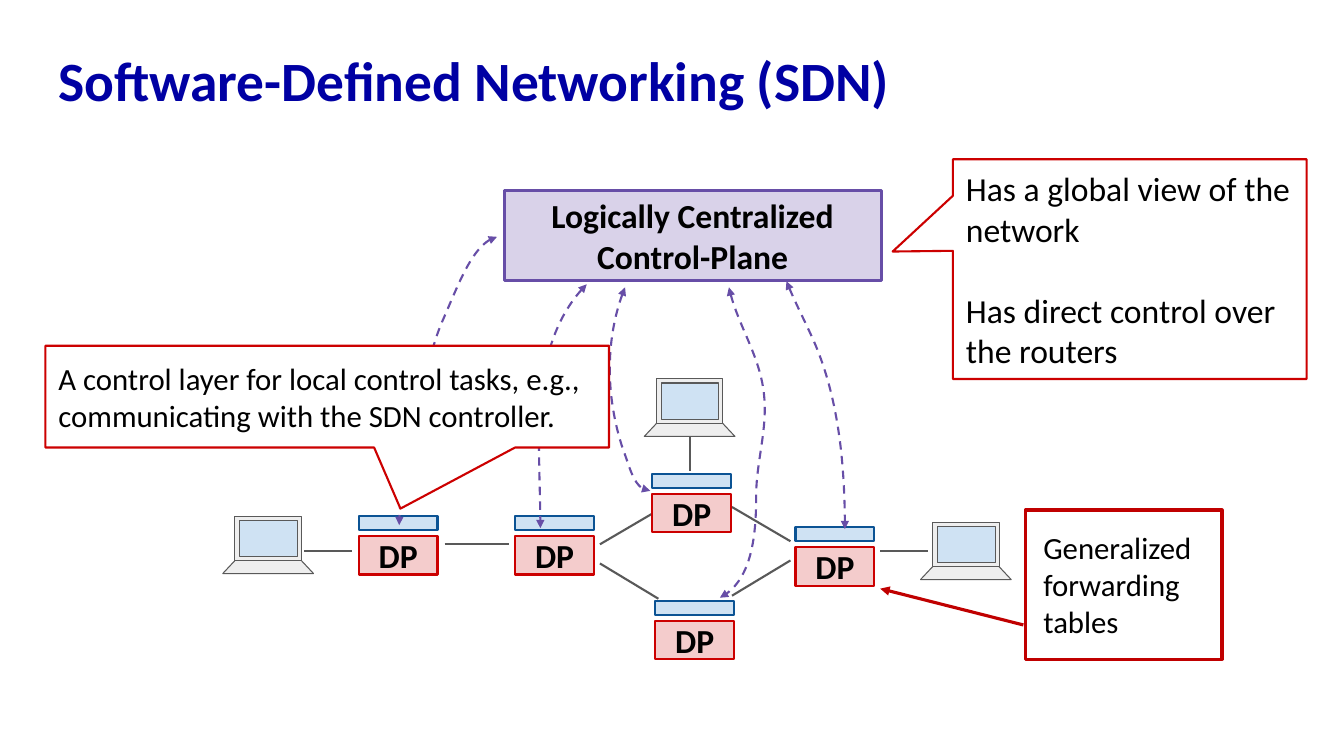
from dataclasses import dataclass
from typing import Any, Optional

from lxml import etree
from pptx import Presentation
from pptx import util as u
from pptx.dml.color import RGBColor
from pptx.enum import dml, shapes, text
from pptx.oxml.ns import qn

NAVY = RGBColor(0x00, 0x00, 0xA3)
BLACK = RGBColor(0x00, 0x00, 0x00)
WHITE = RGBColor(0xFF, 0xFF, 0xFF)
GRAY = RGBColor(0x59, 0x59, 0x59)
LIGHT_GRAY = RGBColor(0xEE, 0xEE, 0xEE)
LIGHT_BLUE = RGBColor(0xCF, 0xE2, 0xF3)
BLUE = RGBColor(0x0B, 0x53, 0x94)
PINK = RGBColor(0xF4, 0xCC, 0xCC)
RED = RGBColor(0xCC, 0x00, 0x00)
DARK_RED = RGBColor(0xC0, 0x00, 0x00)
LAVENDER = RGBColor(0xD9, 0xD2, 0xE9)
PURPLE = RGBColor(0x67, 0x4E, 0xA7)

KIND = shapes.MSO_SHAPE
Point = tuple[float, float]


@dataclass
class Box:
    left: float
    top: float
    width: float
    height: float

    def lengths(self) -> list[u.Length]:
        return [u.Inches(v) for v in (self.left, self.top, self.width, self.height)]


@dataclass
class Link:
    start: Point
    end: Point


@dataclass
class ControlPath:
    start: Point
    curves: list[tuple[Point, Point, Point]]  # two control points, then the end


def write(shape: Any, *paragraphs: str, size: float = 24, color: RGBColor = BLACK,
          bold: bool = False, align: text.PP_ALIGN = text.PP_ALIGN.LEFT,
          anchor: text.MSO_ANCHOR = text.MSO_ANCHOR.MIDDLE, inset: Optional[float] = 0.13,
          gap: float = 0, line_spacing: Optional[float] = None) -> None:
    frame = shape.text_frame
    frame.word_wrap = True
    frame.vertical_anchor = anchor
    if inset is not None:
        frame.margin_left = frame.margin_right = u.Inches(inset)
        frame.margin_top = frame.margin_bottom = u.Inches(inset)
    for i, words in enumerate(paragraphs):
        para = frame.add_paragraph() if i else frame.paragraphs[0]
        para.alignment = align
        if i and gap:
            para.space_before = u.Pt(gap)
        if line_spacing:
            para.line_spacing = line_spacing
        run = para.add_run()
        run.text = words
        run.font.name = "Calibri"
        run.font.size = u.Pt(size)
        run.font.bold = bold
        run.font.color.rgb = color


def add_block(parent: Any, kind: KIND, box: Box, fill: Optional[RGBColor],
              outline: RGBColor, weight: float = 1.5) -> Any:
    block = parent.add_shape(kind, *box.lengths())
    block.shadow.inherit = False
    if fill is None:
        block.fill.background()
    else:
        block.fill.solid()
        block.fill.fore_color.rgb = fill
    block.line.color.rgb = outline
    block.line.width = u.Pt(weight)
    return block


def add_arrowheads(line: Any, *ends: str) -> None:
    ln = line.get_or_add_ln() if hasattr(line, "get_or_add_ln") else line.element.spPr.find(qn("a:ln"))
    for end in ends:
        etree.SubElement(ln, qn(f"a:{end}"), type="triangle")


def add_link(parent: Any, link: Link, color: RGBColor = GRAY, weight: float = 1.5) -> Any:
    ends = [u.Inches(v) for v in (*link.start, *link.end)]
    line = parent.add_connector(shapes.MSO_CONNECTOR.STRAIGHT, *ends)
    line.line.color.rgb = color
    line.line.width = u.Pt(weight)
    etree.SubElement(line.element.spPr, qn("a:effectLst"))
    return line


def add_control_path(parent: Any, route: ControlPath) -> None:
    def emu(point: Point) -> Point:
        return u.Inches(point[0]), u.Inches(point[1])

    builder = parent.build_freeform(*emu(route.start), scale=1.0)
    builder.add_line_segments([emu(curve[-1]) for curve in route.curves], close=False)
    arc = builder.convert_to_shape()
    arc.shadow.inherit = False
    arc.fill.background()
    arc.line.color.rgb = PURPLE
    arc.line.width = u.Pt(1.5)
    arc.line.dash_style = dml.MSO_LINE.DASH
    add_arrowheads(arc, "headEnd", "tailEnd")
    # Turn the straight segments into Bézier curves
    outline = arc.element.spPr.find(".//" + qn("a:path"))
    for segment in outline.findall(qn("a:lnTo")):
        outline.remove(segment)
    for curve in route.curves:
        bezier = etree.SubElement(outline, qn("a:cubicBezTo"))
        for x, y in map(emu, curve):
            etree.SubElement(bezier, qn("a:pt"), x=str(x - arc.left), y=str(y - arc.top))


def add_host(parent: Any, left: float, top: float) -> None:
    laptop = parent.add_group_shape().shapes
    add_block(laptop, KIND.ISOSCELES_TRIANGLE, Box(left, top + 0.09, 0.9, 0.48), LIGHT_GRAY, GRAY, 0.75)
    add_block(laptop, KIND.RECTANGLE, Box(left + 0.12, top, 0.66, 0.44), LIGHT_GRAY, GRAY, 0.75)
    add_block(laptop, KIND.RECTANGLE, Box(left + 0.17, top + 0.04, 0.57, 0.36), LIGHT_BLUE, GRAY, 0.75)


def add_router(parent: Any, left: float, top: float) -> None:
    data_plane = add_block(parent, KIND.RECTANGLE, Box(left, top + 0.2, 0.78, 0.38), PINK, RED)
    write(data_plane, "DP", bold=True, align=text.PP_ALIGN.CENTER)
    add_block(parent, KIND.RECTANGLE, Box(left, top, 0.78, 0.14), LIGHT_BLUE, BLUE)


def add_callout(parent: Any, box: Box, tip: Point, *paragraphs: str, size: float, gap: float = 0) -> None:
    callout = add_block(parent, KIND.ROUNDED_RECTANGULAR_CALLOUT, box, WHITE, RED)
    for i, value in enumerate((*tip, 0)):
        callout.adjustments[i] = value
    write(callout, *paragraphs, size=size, gap=gap)


ROUTER_LINKS = [
    Link((4.41, 5.4), (5.05, 5.4)), Link((5.95, 5.4), (6.53, 5.06)),
    Link((6.53, 5.94), (5.95, 5.59)), Link((7.84, 5.37), (7.26, 5.03)),
    Link((7.26, 5.91), (7.84, 5.56)),
]
HOST_LINKS = [
    Link((3.02, 5.47), (3.49, 5.47)), Link((6.84, 4.33), (6.84, 4.67)),
    Link((8.73, 5.47), (9.2, 5.47)),
]
HOSTS = [(2.21, 5.12), (6.39, 3.76), (9.13, 5.18)]
ROUTERS = [(3.56, 5.12), (5.11, 5.12), (6.47, 4.7), (6.5, 5.96), (7.89, 5.23)]
CONTROL_PATHS = [
    ControlPath((4.93, 2.35), [((4.7, 2.4), (4.54, 2.84), (4.4, 3.16)),
                               ((4.26, 3.47), (4.2, 3.86), (4.12, 4.22)),
                               ((4.05, 4.54), (3.96, 4.87), (3.96, 5.21))]),
    ControlPath((5.82, 2.82), [((5.24, 3.4), (5.36, 4.42), (5.36, 5.24))]),
    ControlPath((6.2, 2.85), [((6, 3.34), (6.01, 3.95), (6.18, 4.46)),
                              ((6.24, 4.61), (6.29, 4.87), (6.45, 4.87))]),
    ControlPath((7.23, 2.85), [((7.31, 3.22), (7.55, 3.56), (7.58, 3.94)),
                               ((7.61, 4.27), (7.5, 4.59), (7.5, 4.92)),
                               ((7.5, 5.28), (7.46, 5.77), (7.14, 5.93))]),
    ControlPath((7.8, 2.79), [((7.88, 2.99), (7.98, 3.18), (8.07, 3.38)),
                              ((8.31, 3.93), (8.38, 4.61), (8.38, 5.25))]),
]


def main() -> None:
    deck = Presentation()
    deck.slide_width, deck.slide_height = u.Inches(13.33), u.Inches(7.5)
    canvas = deck.slides.add_slide(deck.slide_layouts[6]).shapes

    # Title
    title = canvas.add_textbox(*Box(0.45, 0.41, 12.42, 0.84).lengths())
    write(title, "Software-Defined Networking (SDN)", size=39.6, color=NAVY, bold=True, line_spacing=0.9)

    # Network
    for link in ROUTER_LINKS:
        add_link(canvas, link)
    for host in HOSTS:
        add_host(canvas, *host)
    for link in HOST_LINKS:
        add_link(canvas, link)
    for router in ROUTERS:
        add_router(canvas, *router)

    # Controller and its paths to the routers
    controller = add_block(canvas, KIND.RECTANGLE, Box(5, 1.89, 3.74, 0.89), LAVENDER, PURPLE, 2.25)
    write(controller, "Logically Centralized Control-Plane", bold=True, align=text.PP_ALIGN.CENTER)
    add_callout(canvas, Box(9.45, 1.58, 3.51, 2.18), (-0.67, -0.08), "Has a global view of the network",
                "Has direct control over the routers", size=24, gap=29)
    for route in CONTROL_PATHS:
        add_control_path(canvas, route)

    # Notes on the routers
    add_callout(canvas, Box(0.45, 3.43, 5.59, 1.01), (0.13, 1.1),
                "A control layer for local control tasks, e.g., communicating with the SDN controller.", size=22)
    add_block(canvas, KIND.RECTANGLE, Box(10.17, 5.06, 1.95, 1.48), None, DARK_RED, 2.25)
    tables_note = canvas.add_textbox(*Box(10.25, 5.2, 1.77, 1.21).lengths())
    write(tables_note, "Generalized forwarding tables", size=22, anchor=text.MSO_ANCHOR.TOP, inset=None)
    tables_note.text_frame.auto_size = text.MSO_AUTO_SIZE.SHAPE_TO_FIT_TEXT
    tables_arrow = add_link(canvas, Link((10.15, 6.2), (8.73, 5.84)), DARK_RED, 2.25)
    add_arrowheads(tables_arrow, "tailEnd")

    deck.save("out.pptx")


if __name__ == "__main__":
    main()
